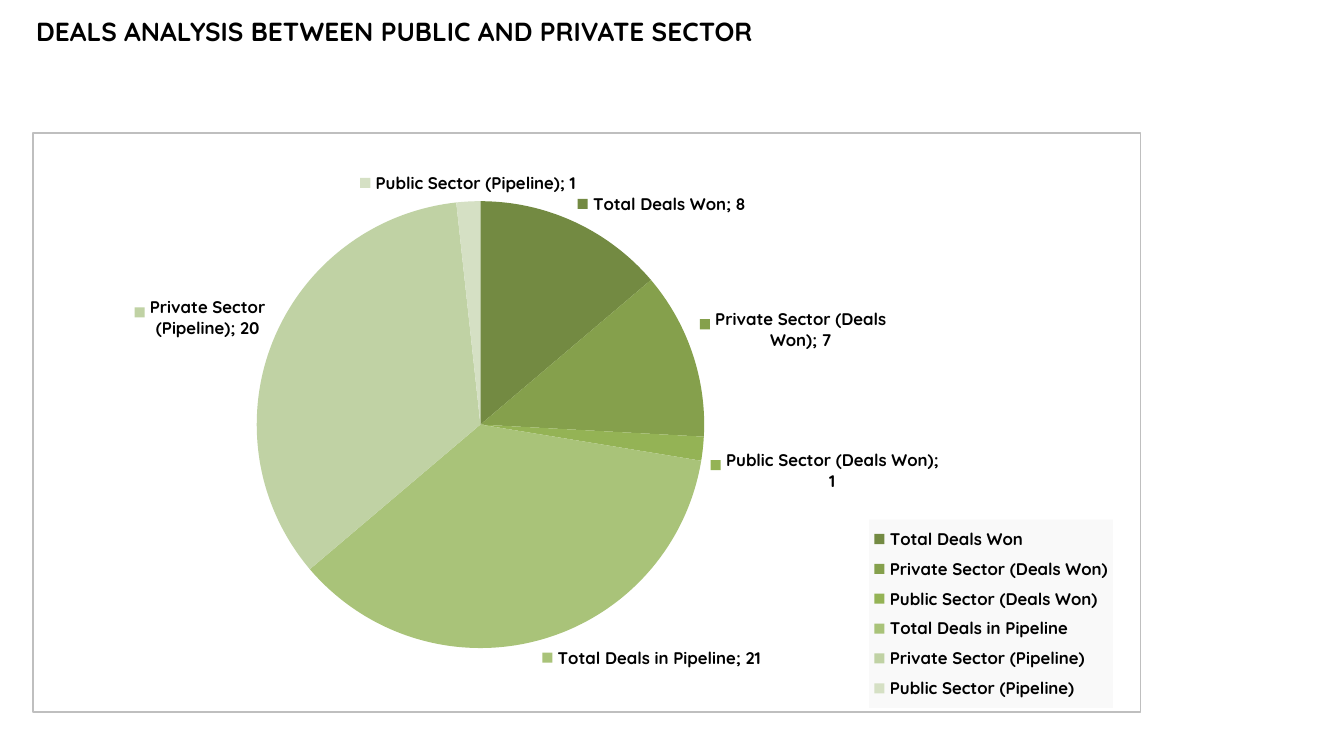
from lxml import etree
from pptx import Presentation
from pptx.chart.data import CategoryChartData
from pptx.dml.color import RGBColor
from pptx.enum.chart import XL_CHART_TYPE as ChartType
from pptx.enum.chart import XL_LABEL_POSITION as LabelPosition
from pptx.enum.chart import XL_LEGEND_POSITION as LegendPosition
from pptx.enum.text import MSO_ANCHOR, PP_ALIGN
from pptx.oxml import parse_xml
from pptx.oxml.ns import nsdecls, qn
from pptx.util import Cm, Pt

FONT = "Quicksand"
DEALS = [
    ("Total Deals Won", 8, "738A42"),
    ("Private Sector (Deals Won)", 7, "85A04C"),
    ("Public Sector (Deals Won)", 1, "94B355"),
    ("Total Deals in Pipeline", 21, "A9C379"),
    ("Private Sector (Pipeline)", 20, "C0D2A4"),
    ("Public Sector (Pipeline)", 1, "D5E0C4"),
]


def color(hex_code):
    return RGBColor.from_string(hex_code)


def set_font(font, size):
    font.name, font.size, font.bold = FONT, Pt(size), True
    font.color.rgb = color("000000")


def manual_layout(x, y, width, height, inner=False):
    """Chart layout element, in fractions of the chart area."""
    layout = etree.Element(qn("c:layout"))
    manual = etree.SubElement(layout, qn("c:manualLayout"))
    settings = [("layoutTarget", "inner")] if inner else []
    settings += [("xMode", "edge"), ("yMode", "edge"),
                 ("x", x), ("y", y), ("w", width), ("h", height)]
    for name, value in settings:
        etree.SubElement(manual, qn(f"c:{name}")).set("val", str(value))
    return layout


def shape_properties(fill, line):
    def paint(hex_code):
        if hex_code is None:
            return "<a:noFill/>"
        return f'<a:solidFill><a:srgbClr val="{hex_code}"/></a:solidFill>'

    return parse_xml(
        f'<c:spPr {nsdecls("c", "a")}>{paint(fill)}'
        f'<a:ln w="{Pt(0.75)}">{paint(line)}</a:ln></c:spPr>')


def add_title(page, left, top, width, height):
    title = page.shapes.title
    title.left, title.top, title.width, title.height = left, top, width, height
    frame = title.text_frame
    frame.text = "DEALS ANALYSIS BETWEEN PUBLIC AND PRIVATE SECTOR"
    frame.word_wrap = True
    frame.vertical_anchor = MSO_ANCHOR.MIDDLE
    para = frame.paragraphs[0]
    para.alignment = PP_ALIGN.LEFT
    set_font(para.font, 14)


def format_labels(series):
    labels = series.data_labels
    labels.show_value = labels.show_category_name = True
    labels.show_legend_key = True
    labels.show_percentage = False
    labels.position = LabelPosition.OUTSIDE_END
    set_font(labels.font, 9)
    separator = etree.Element(qn("c:separator"))
    separator.text = "; "
    labels._element.find(qn("c:showBubbleSize")).addnext(separator)


def format_legend(chart):
    chart.has_legend = True
    legend = chart.legend
    legend.position = LegendPosition.RIGHT
    legend.include_in_layout = False
    set_font(legend.font, 9)
    overlay = legend._element.find(qn("c:overlay"))
    overlay.addprevious(manual_layout(0.755, 0.668, 0.22, 0.325))
    overlay.addnext(shape_properties("F9F9F9", None))


def add_deals_pie(page, left, top, width, height):
    data = CategoryChartData()
    data.categories = [name for name, _, _ in DEALS]
    data.add_series("Series 1", [count for _, count, _ in DEALS])
    chart = page.shapes.add_chart(
        ChartType.PIE, left, top, width, height, data).chart
    chart.has_title = False
    set_font(chart.font, 9)

    plot = chart.plots[0]
    plot.vary_by_categories = True
    series = plot.series[0]
    for index, (_, _, shade) in enumerate(DEALS):
        slice_format = series.points[index].format
        slice_format.fill.solid()
        slice_format.fill.fore_color.rgb = color(shade)
        slice_format.line.fill.background()
    format_labels(series)
    format_legend(chart)

    chart_space = chart._chartSpace
    plot_area = chart_space.chart.plotArea
    for layout in plot_area.findall(qn("c:layout")):
        plot_area.remove(layout)
    plot_area.insert(0, manual_layout(0.202, 0.117, 0.404, 0.774, inner=True))
    chart_space.chart.addnext(shape_properties("FFFFFF", "BFBFBF"))


def main():
    deck = Presentation()
    deck.slide_width, deck.slide_height = Cm(25.4), Cm(14.29)
    page = deck.slides.add_slide(deck.slide_layouts[5])
    add_deals_pie(page, Cm(0.61), Cm(2.5), Cm(20.96), Cm(10.97))
    add_title(page, Cm(0.43), Cm(0.15), Cm(18.62), Cm(0.86))
    deck.save("out.pptx")


if __name__ == "__main__":
    main()
